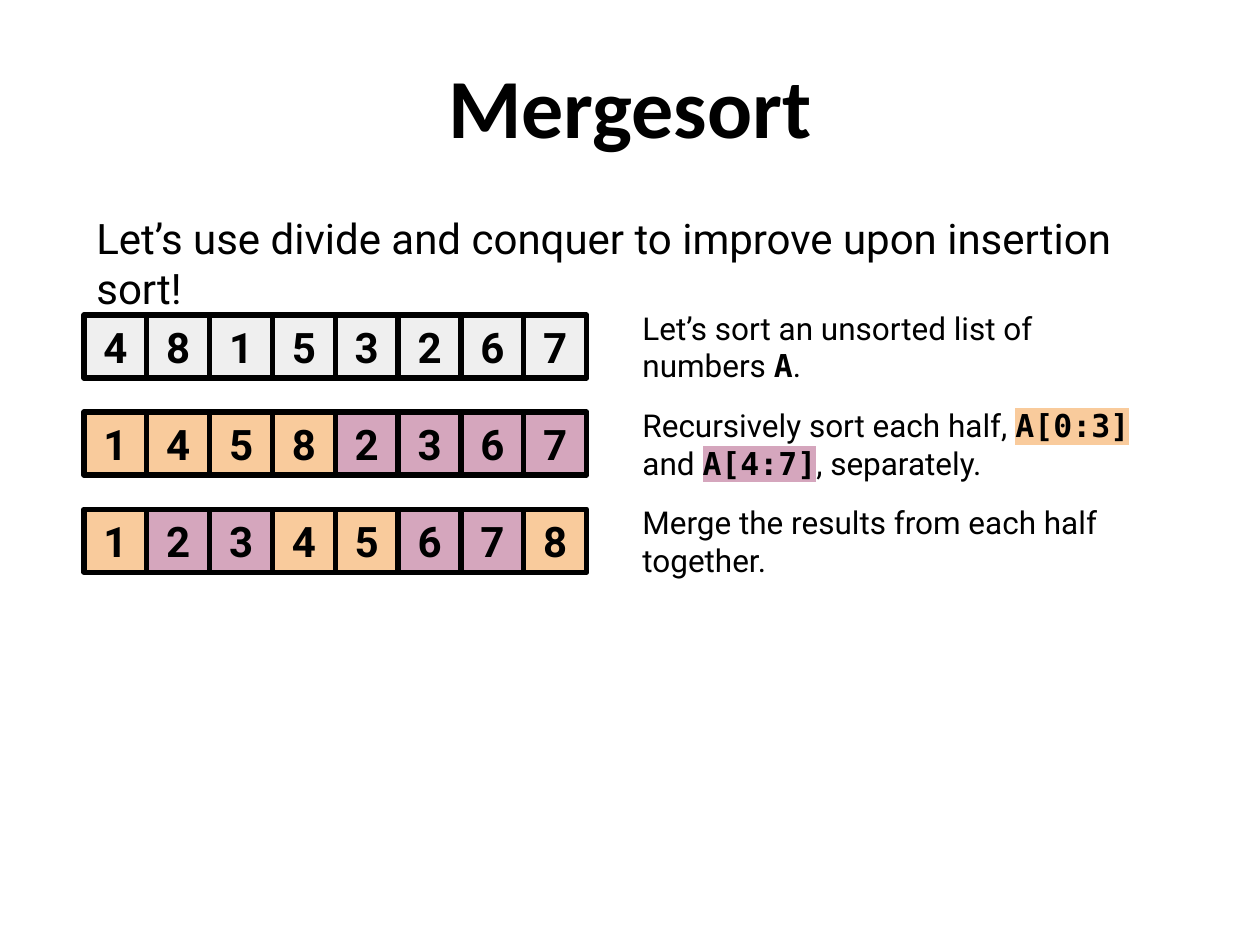
from lxml.etree import SubElement
from pptx import Presentation
from pptx.dml.color import RGBColor
from pptx.enum.shapes import MSO_SHAPE
from pptx.enum.text import MSO_ANCHOR, PP_ALIGN
from pptx.oxml.ns import qn
from pptx.util import Pt

COLORS = {"ink": "000000", "unsorted": "EFEFEF", "left": "F9CB9C", "right": "D5A6BD"}
HALVES = {"u": "unsorted", "l": "left", "r": "right"}
BODY, CODE, HEADING = "Roboto", "DejaVu Sans Mono", "Calibri"

TITLE = "Mergesort"
INTRO = "Let’s use divide and conquer to improve upon insertion sort!"
# Each step: the numbers, the half each one comes from, and the explanation.
# A piece of explanation given as a tuple is code with its highlight colour.
STEPS = [
    ("48153267", "uuuuuuuu",
     ["Let’s sort an unsorted list of numbers ", ("A", None), "."]),
    ("14582367", "llllrrrr",
     ["Recursively sort each half, ", ("A[0:3]", "left"), " and ",
      ("A[4:7]", "right"), ", separately."]),
    ("12345678", "lrrllrrl",
     ["Merge the results from each half together."]),
]

CELL, CELL_PITCH, STEP_PITCH = 36, 35.9, 55.5
ARRAY_LEFT, ARRAY_TOP = 48, 180
NOTE_LEFT, NOTE_WIDTH = 360, 312


def rgb(name):
    return RGBColor.from_string(COLORS[name])


def write(shape, pieces, size=24, font=BODY, bold=False,
          align=PP_ALIGN.LEFT, anchor=MSO_ANCHOR.MIDDLE):
    """Fill a shape with one paragraph; tuple pieces become highlighted code."""
    frame = shape.text_frame
    frame.word_wrap = True
    frame.vertical_anchor = anchor
    frame.margin_left = frame.margin_right = Pt(7.2)
    frame.margin_top = frame.margin_bottom = Pt(7.2)
    paragraph = frame.paragraphs[0]
    paragraph.alignment = align
    for piece in pieces:
        is_code = isinstance(piece, tuple)
        words, highlight = piece if is_code else (piece, None)
        run = paragraph.add_run()
        run.text = words
        run.font.size = Pt(size)
        run.font.bold = bold or is_code
        run.font.color.rgb = rgb("ink")
        if highlight:
            # The highlight has to come before the typeface in the run properties.
            mark = SubElement(run.font._element, qn("a:highlight"))
            SubElement(mark, qn("a:srgbClr"), val=COLORS[highlight])
        run.font.name = CODE if is_code else font


def add_text(slide, left, top, width, height, pieces, **style):
    box = slide.shapes.add_textbox(Pt(left), Pt(top), Pt(width), Pt(height))
    write(box, pieces, **style)


def add_cell(slide, left, top, number, half):
    cell = slide.shapes.add_shape(
        MSO_SHAPE.RECTANGLE, Pt(left), Pt(top), Pt(CELL), Pt(CELL))
    cell.shadow.inherit = False
    cell.fill.solid()
    cell.fill.fore_color.rgb = rgb(half)
    cell.line.color.rgb = rgb("ink")
    cell.line.width = Pt(3)
    write(cell, [number], bold=True, align=PP_ALIGN.CENTER)


def main():
    deck = Presentation()
    deck.slide_width, deck.slide_height = Pt(720), Pt(540)
    slide = deck.slides.add_slide(deck.slide_layouts[6])

    add_text(slide, 48, 114, 624, 426, [INTRO], anchor=MSO_ANCHOR.TOP)
    add_text(slide, 0, 24, 720, 90, [TITLE], size=48, font=HEADING, bold=True,
             align=PP_ALIGN.CENTER, anchor=MSO_ANCHOR.TOP)

    for step, (numbers, halves, explanation) in enumerate(STEPS):
        top = ARRAY_TOP + step * STEP_PITCH
        add_text(slide, NOTE_LEFT, top, NOTE_WIDTH, CELL, explanation, size=18)
        for index, (number, half) in enumerate(zip(numbers, halves)):
            add_cell(slide, ARRAY_LEFT + index * CELL_PITCH, top, number, HALVES[half])

    deck.save("out.pptx")


if __name__ == "__main__":
    main()
